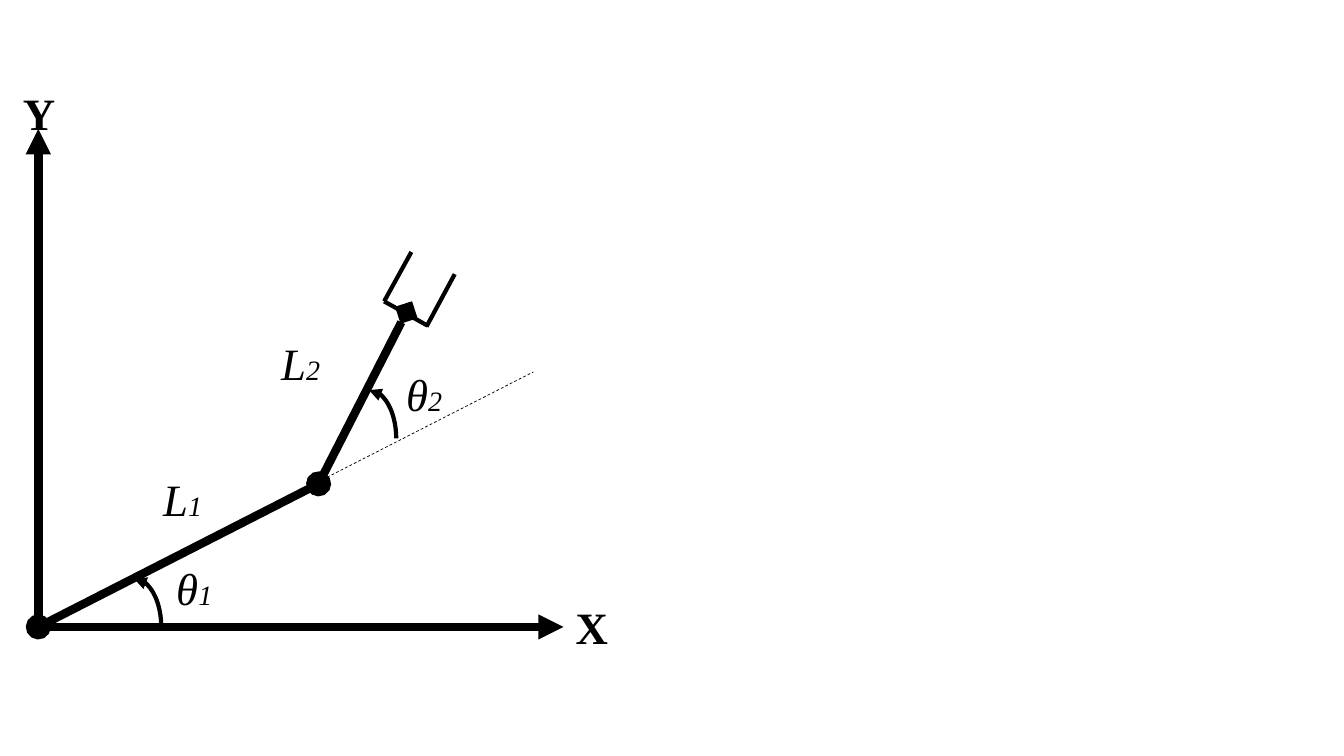
from dataclasses import dataclass

from lxml.etree import SubElement
from pptx import Presentation
from pptx.dml.color import RGBColor
from pptx.enum.dml import MSO_LINE
from pptx.enum.shapes import MSO_CONNECTOR, MSO_SHAPE
from pptx.enum.text import MSO_AUTO_SIZE, MSO_VERTICAL_ANCHOR
from pptx.oxml.ns import qn
from pptx.util import Emu, Pt

BLACK = RGBColor(0x00, 0x00, 0x00)
FONT = "Times New Roman"
EMU_PER_PX = 9144


@dataclass(frozen=True)
class Segment:
    start: tuple[int, int]
    end: tuple[int, int]
    weight: float
    head: str = ""
    tail: str = ""
    dashed: bool = False


@dataclass(frozen=True)
class Label:
    left: int
    top: int
    width: int
    symbol: str
    subscript: str = ""


ORIGIN = (38, 622)
ELBOW = (316, 480)
WRIST = (403, 310)

AXES = [
    Segment(ORIGIN, (38, 128), 6, tail="triangle"),
    Segment((33, 622), (559, 622), 6, tail="triangle"),
]
LINKS = [
    Segment(ORIGIN, ELBOW, 6, head="oval", tail="oval"),
    Segment(ELBOW, WRIST, 6, head="diamond", tail="diamond"),
]
GRIPPER = [
    Segment((381, 299), (408, 250), 3),
    Segment((423, 324), (451, 272), 3),
    Segment((381, 299), (424, 323), 3),
]
EXTENSION = Segment((298, 487), (529, 369), 0.5, dashed=True)

ARC_WIDTH, ARC_HEIGHT = 54, 96
ANGLE_ARCS = [(106, 574), (339, 387)]

LABEL_HEIGHT = 64
LABELS = [
    Label(165, 551, 56, "θ", "1"),
    Label(393, 359, 56, "θ", "2"),
    Label(13, 80, 53, "Y"),
    Label(561, 590, 53, "X"),
    Label(152, 463, 59, "L", "1"),
    Label(269, 328, 59, "L", "2"),
]


def px(value: int) -> Emu:
    return Emu(value * EMU_PER_PX)


def style_line(shape, weight: float, head: str = "", tail: str = "", dashed: bool = False) -> None:
    shape.line.color.rgb = BLACK
    shape.line.width = Pt(weight)
    if dashed:
        shape.line.dash_style = MSO_LINE.DASH
    outline = shape.line._get_or_add_ln()
    for tag, ending in (("a:headEnd", head), ("a:tailEnd", tail)):
        if ending:
            SubElement(outline, qn(tag), type=ending)


def draw_segment(shapes, segment: Segment) -> None:
    connector = shapes.add_connector(
        MSO_CONNECTOR.STRAIGHT, *map(px, segment.start + segment.end)
    )
    style_line(connector, segment.weight, segment.head, segment.tail, segment.dashed)
    SubElement(connector._element.spPr, qn("a:effectLst"))


def draw_group(page, segments: list[Segment]) -> None:
    group = page.shapes.add_group_shape()
    for segment in segments:
        draw_segment(group.shapes, segment)


def draw_angle_arc(page, left: int, top: int) -> None:
    arc = page.shapes.add_shape(
        MSO_SHAPE.ARC, px(left), px(top), px(ARC_WIDTH), px(ARC_HEIGHT)
    )
    arc.shadow.inherit = False
    arc.fill.background()
    style_line(arc, 3, head="triangle")


def draw_label(page, label: Label) -> None:
    box = page.shapes.add_textbox(
        px(label.left), px(label.top), px(label.width), px(LABEL_HEIGHT)
    )
    frame = box.text_frame
    frame.word_wrap = False
    frame.auto_size = MSO_AUTO_SIZE.SHAPE_TO_FIT_TEXT
    frame.vertical_anchor = MSO_VERTICAL_ANCHOR.TOP
    para = frame.paragraphs[0]
    para.text = label.symbol
    if label.subscript:
        para.add_run().text = label.subscript
    for span, size in zip(para.runs, (32, 20)):
        span.font.name = FONT
        span.font.size = Pt(size)
        span.font.color.rgb = BLACK
        span.font.italic = bool(label.subscript)
        span.font.bold = not label.subscript


def main() -> None:
    deck = Presentation()
    deck.slide_width, deck.slide_height = px(1333), px(750)
    page = deck.slides.add_slide(deck.slide_layouts[6])
    draw_group(page, AXES)
    for link in LINKS:
        draw_segment(page.shapes, link)
    draw_group(page, GRIPPER)
    draw_segment(page.shapes, EXTENSION)
    for left, top in ANGLE_ARCS:
        draw_angle_arc(page, left, top)
    for label in LABELS:
        draw_label(page, label)
    deck.save("out.pptx")


if __name__ == "__main__":
    main()
